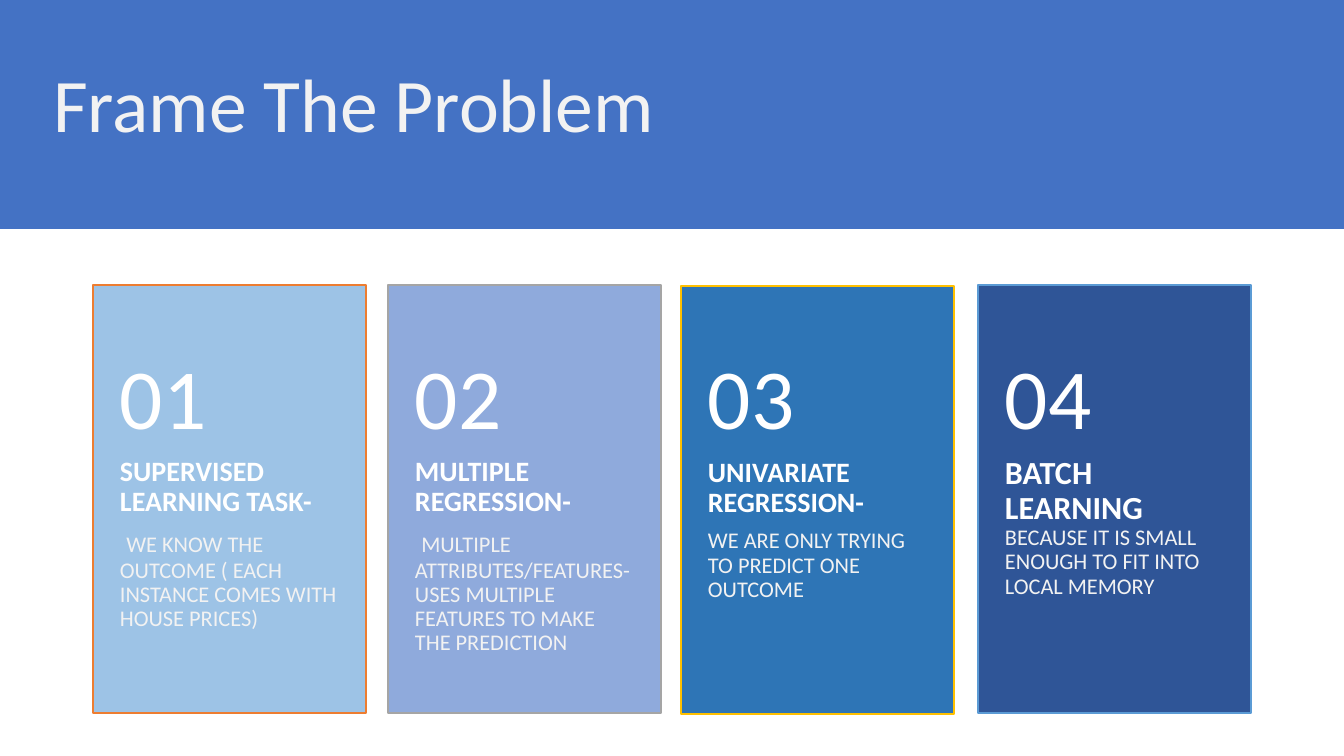
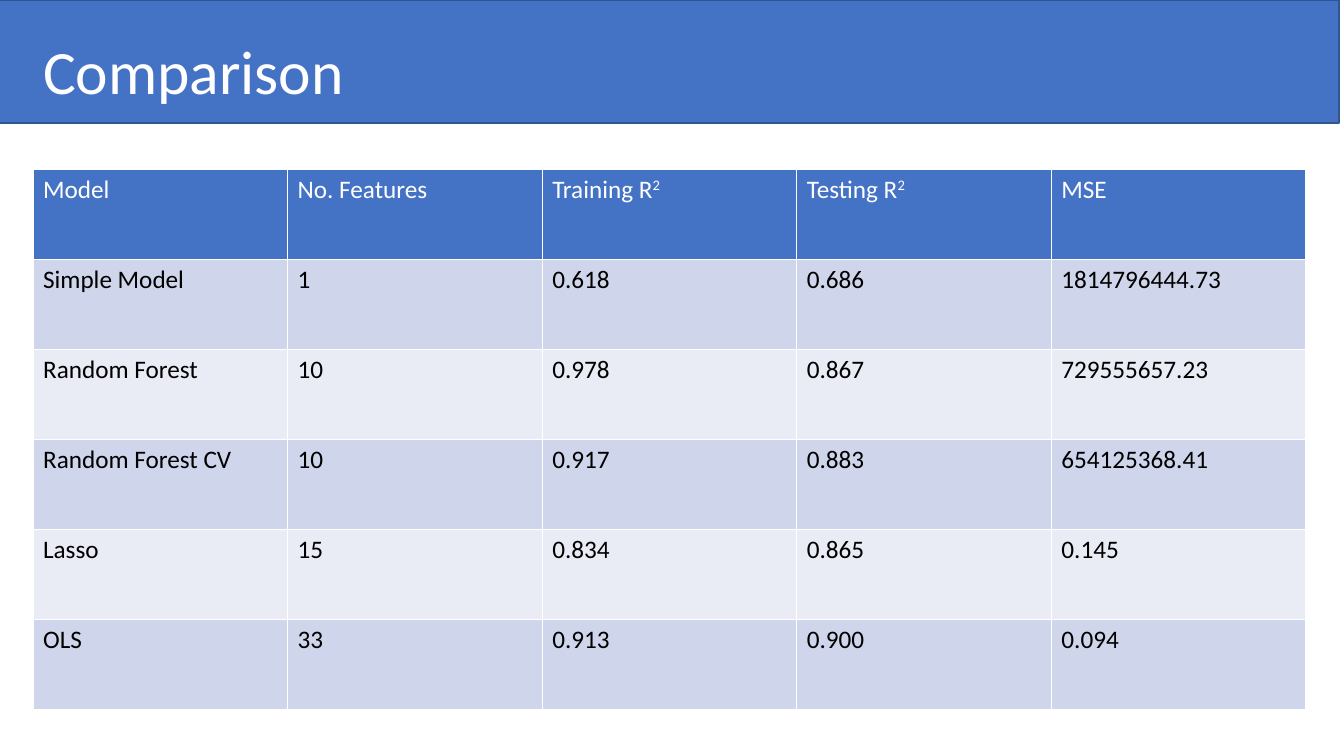
"""Build the problem framing cards and the model comparison table."""
import pptx
import pptx.util
import pptx.dml.color
import pptx.enum.shapes
import pptx.enum.text

PIXEL = 914400 / 100.8
FONT = "Calibri"
BLUE, WHITE, PALE, BLACK = "4472C4", "FFFFFF", "F2F2F2", "000000"
BAND_ROWS = ["E9EBF5", "CFD5EA"]
TOP, MIDDLE = pptx.enum.text.MSO_ANCHOR.TOP, pptx.enum.text.MSO_ANCHOR.MIDDLE
color = pptx.dml.color.RGBColor.from_string


def place(*lengths):
    return [round(length * PIXEL) for length in lengths]


def add_run(paragraph, text, size, hex_color, bold=False):
    run = paragraph.add_run()
    run.text = text
    run.font.name = FONT
    run.font.size = pptx.util.Pt(size)
    run.font.bold = bold
    run.font.color.rgb = color(hex_color)
    return run


presentation = pptx.Presentation()
presentation.slide_width, presentation.slide_height = place(1344, 756)

headers = [
    ("Frame The Problem", 54, PALE, (43, 35, 1258, 146), (0, -1, 1344, 230), None),
    ("Comparison", 44, WHITE, (33, 2, 1159, 146), (-5, 0, 1344, 123), "325491"),
]
slides = []
for text, size, text_color, title_box, band_box, outline in headers:
    slide = presentation.slides.add_slide(presentation.slide_layouts[5])
    slides.append(slide)
    title = slide.shapes.title
    title.left, title.top, title.width, title.height = place(*title_box)
    title.text_frame.auto_size = pptx.enum.text.MSO_AUTO_SIZE.NONE
    title.text_frame.vertical_anchor = MIDDLE
    paragraph = title.text_frame.paragraphs[0]
    paragraph.alignment = pptx.enum.text.PP_ALIGN.LEFT
    paragraph.line_spacing = 0.9
    add_run(paragraph, text, size, text_color)

    band = slide.shapes.add_shape(pptx.enum.shapes.MSO_SHAPE.RECTANGLE, *place(*band_box))
    band.shadow.inherit = False
    band.fill.solid()
    band.fill.fore_color.rgb = color(BLUE)
    if outline:
        band.line.color.rgb = color(outline)
        band.line.width = pptx.util.Pt(1)
    else:
        band.line.fill.background()
    title.element.addprevious(band.element)

framing, comparison = slides

cards = [
    (93, 285, "9DC3E6", "ED7D31", [
        [("SUPERVISED LEARNING TASK-", 20, WHITE, True)],
        [(" ", 20, WHITE, True),
         ("WE KNOW THE OUTCOME ( EACH INSTANCE COMES WITH HOUSE PRICES)", 16, PALE)]]),
    (388, 285, "8FAADC", "A5A5A5", [
        [("MULTIPLE REGRESSION-", 20, WHITE, True)],
        [(" ", 20, WHITE, True),
         ("MULTIPLE ATTRIBUTES/FEATURES- USES MULTIPLE FEATURES TO MAKE THE PREDICTION",
          16, PALE)]]),
    (681, 286, "2E75B6", "FFC000", [
        [("UNIVARIATE REGRESSION- ", 20, WHITE, True)],
        [("WE ARE ONLY TRYING TO PREDICT ONE OUTCOME", 16, PALE)]]),
    (978, 285, "2F5597", "5B9BD5", [
        [("BATCH LEARNING ", 23, WHITE, True),
         ("BECAUSE IT IS SMALL ENOUGH TO FIT INTO LOCAL MEMORY", 16, PALE)]]),
]
CARD_WIDTH, CARD_HEIGHT = 273, 428
for number, (left, top, fill, outline, description) in enumerate(cards, start=1):
    card = framing.shapes.add_shape(
        pptx.enum.shapes.MSO_SHAPE.RECTANGLE, *place(left, top, CARD_WIDTH, CARD_HEIGHT))
    card.shadow.inherit = False
    card.fill.solid()
    card.fill.fore_color.rgb = color(fill)
    card.line.color.rgb = color(outline)
    card.line.width = pptx.util.Pt(1)

    card_texts = [
        (top + 172, 257, TOP, (27, 0, 27, 36), description),
        (336, 131, MIDDLE, (27, 18, 27, 18), [[(f"{number:02}", 61, WHITE)]]),
    ]
    for text_top, height, anchor, insets, paragraphs in card_texts:
        box = framing.shapes.add_textbox(*place(left, text_top, CARD_WIDTH, height))
        frame = box.text_frame
        frame.word_wrap = True
        frame.vertical_anchor = anchor
        (frame.margin_left, frame.margin_top,
         frame.margin_right, frame.margin_bottom) = place(*insets)
        for index, runs in enumerate(paragraphs):
            paragraph = frame.add_paragraph() if index else frame.paragraphs[0]
            paragraph.line_spacing = 0.9
            paragraph.space_after = pptx.util.Pt(8)
            for run in runs:
                add_run(paragraph, *run)

models = [
    ["Model", "No. Features", "Training R²", "Testing R²", "MSE"],
    ["Simple Model", "1", "0.618", "0.686", "1814796444.73"],
    ["Random Forest", "10", "0.978", "0.867", "729555657.23"],
    ["Random Forest CV", "10", "0.917", "0.883", "654125368.41"],
    ["Lasso", "15", "0.834", "0.865", "0.145"],
    ["OLS", "33", "0.913", "0.900", "0.094"],
]
table = comparison.shapes.add_table(
    len(models), len(models[0]), *place(33, 169, 1273, 541)).table
for row_index, values in enumerate(models):
    for column_index, value in enumerate(values):
        cell = table.cell(row_index, column_index)
        cell.fill.solid()
        cell.fill.fore_color.rgb = color(BAND_ROWS[row_index % 2] if row_index else BLUE)
        text_color = BLACK if row_index else WHITE
        paragraph = cell.text_frame.paragraphs[0]
        add_run(paragraph, value.rstrip("²"), 18, text_color)
        if value.endswith("²"):
            exponent = add_run(paragraph, "2", 18, text_color)
            exponent.font._element.set("baseline", "30000")

presentation.save("out.pptx")
